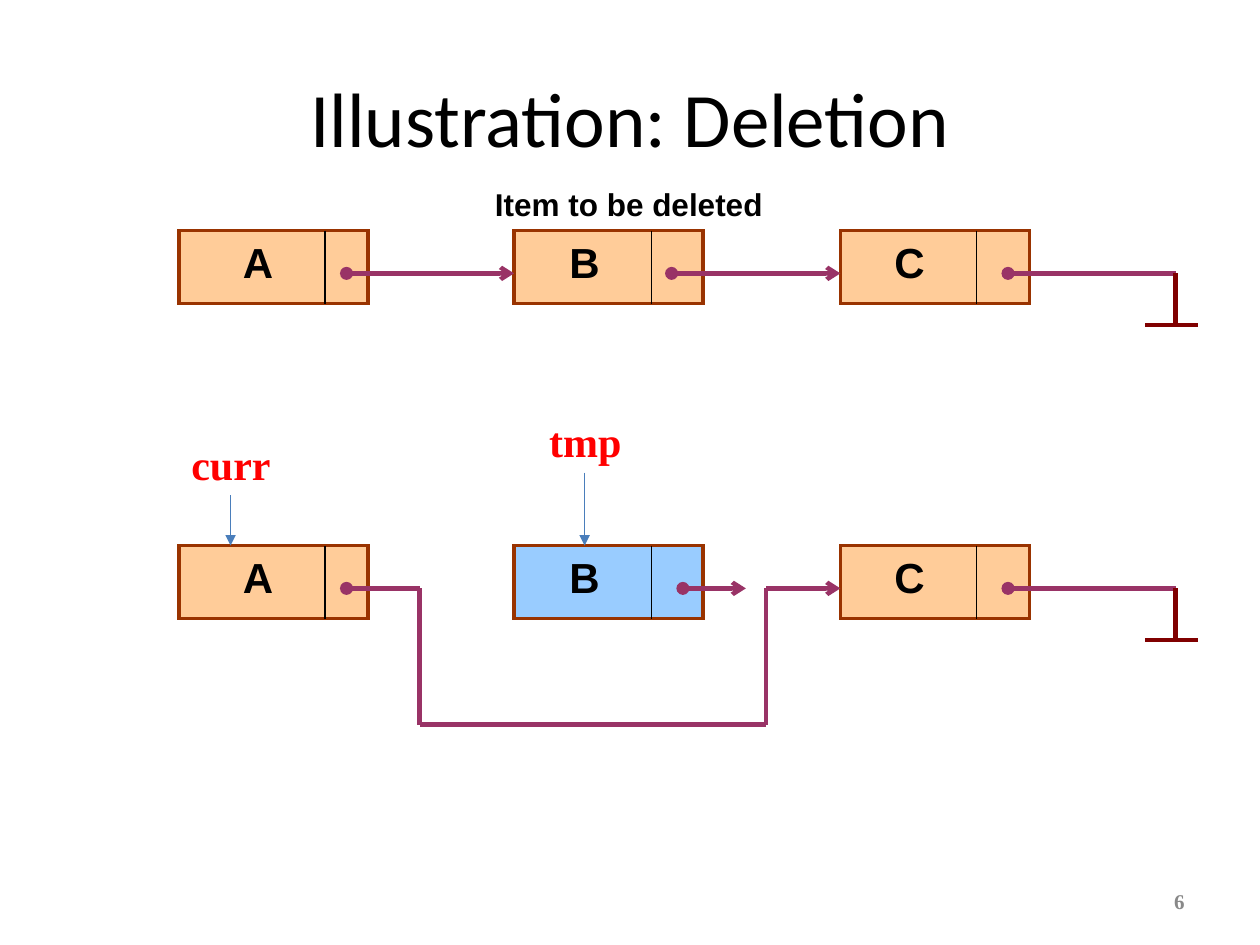
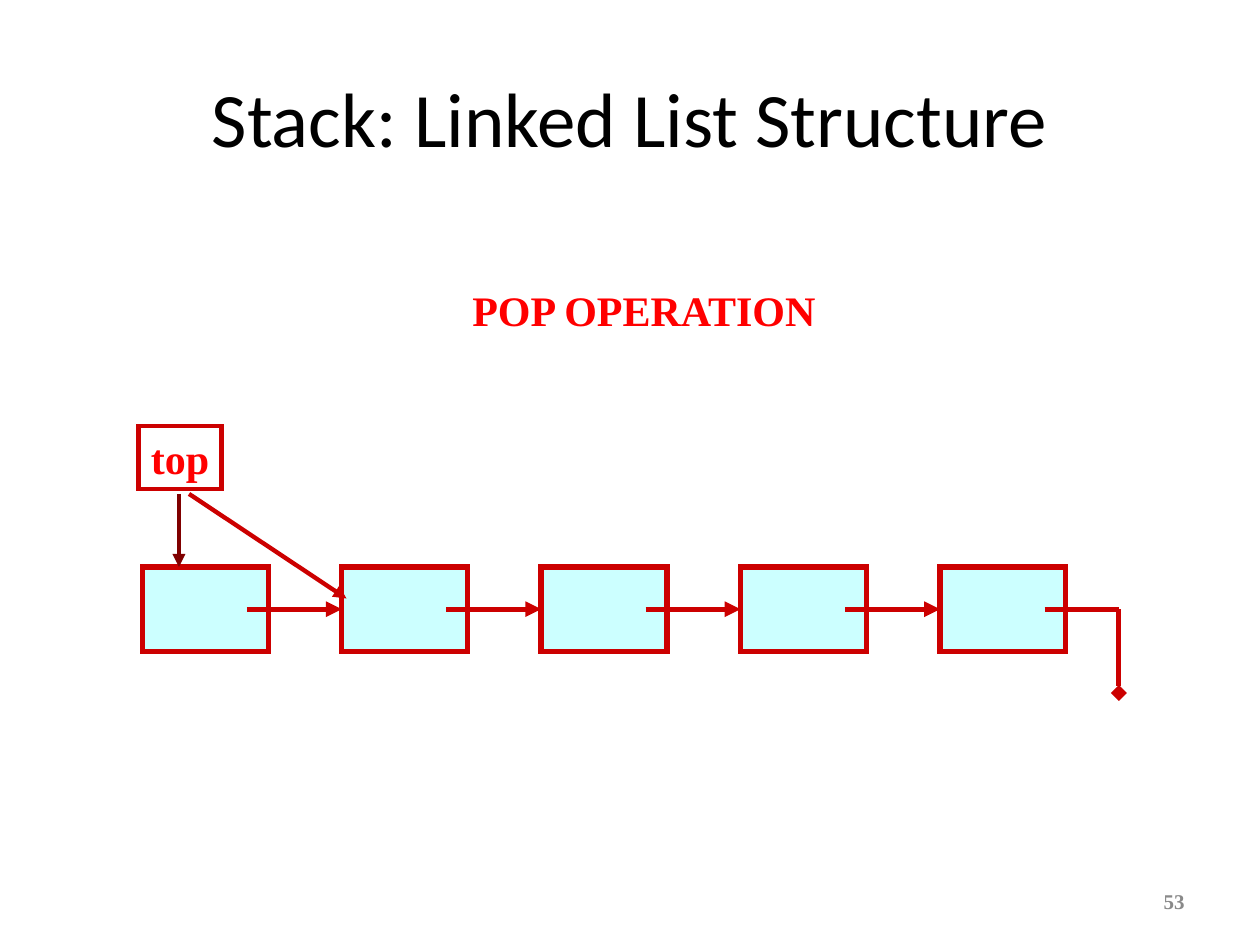
from pptx import Presentation
from pptx.dml.color import RGBColor
from pptx.enum.shapes import MSO_CONNECTOR as CONN, MSO_SHAPE as SHAPE
from pptx.enum.text import MSO_ANCHOR as ANCHOR, PP_ALIGN as ALIGN
from pptx.oxml.ns import qn
from pptx.util import Inches, Pt
from lxml.etree import SubElement

BLACK, GRAY, RED = "000000", "898989", "FF0000"
PEACH, SKY, BROWN = "FFCC99", "99CCFF", "993300"
PLUM, MAROON, BLUE = "993366", "800000", "4A7EBB"
CYAN, CRIMSON = "CCFFFF", "CC0000"
SERIF, SANS = "Times New Roman", "Arial"

NODE_W, NODE_H = 1.5, 0.58
NODES = [("A", 1.42, 0.41), ("B", 4.08, 0.34), ("C", 6.67, 0.33)]
DIVIDERS = [2.58, 5.17, 7.75]
BEFORE_Y, AFTER_Y, LINK_DY = 1.83, 4.33, 0.34
BEFORE_LINKS = [(2.75, 4.08), (5.33, 6.67)]
BYPASS = [(2.75, 4.67), (3.33, 4.67), (3.33, 5.75), (6.08, 5.75), (6.08, 4.67), (6.67, 4.67)]
POINTERS = [("curr", 1.42, 3.43, 0.85, 1.83), ("tmp", 4.26, 3.25, 0.85, 4.64)]

STACK_LEFT, STACK_RIGHT, STACK_Y, STACK_COUNT = 1.13, 7.46, 4.5, 5
CELL_W, CELL_H, LINK_DX = 1, 0.67, 0.83


def rgb(value):
    return RGBColor.from_string(value)


def write(s, text, size, font, color, bold=True, align=ALIGN.LEFT, anchor=ANCHOR.TOP, wrap=True):
    tf = s.text_frame
    tf.word_wrap = wrap
    tf.vertical_anchor = anchor
    p = tf.paragraphs[0]
    p.text = text
    p.alignment = align
    f = p.font
    f.size, f.name, f.bold = Pt(size), font, bold
    f.color.rgb = rgb(color)


def add_text(sl, box, text, size, font, color, **style):
    s = sl.shapes.add_textbox(*map(Inches, box))
    write(s, text, size, font, color, **style)


def add_box(sl, box, fill, line, width):
    s = sl.shapes.add_shape(SHAPE.RECTANGLE, *map(Inches, box))
    s.shadow.inherit = False
    if fill:
        s.fill.solid()
        s.fill.fore_color.rgb = rgb(fill)
    else:
        s.fill.background()
    s.line.color.rgb = rgb(line)
    s.line.width = Pt(width)
    SubElement(s.line._get_or_add_ln(), qn("a:miter"), lim="800000")
    return s


def add_line(sl, start, end, color, width, head=None, tail=None):
    s = sl.shapes.add_connector(CONN.STRAIGHT, *map(Inches, (*start, *end)))
    s.line.color.rgb = rgb(color)
    s.line.width = Pt(width)
    ln = s.line._get_or_add_ln()
    for tag, kind in (("a:headEnd", head), ("a:tailEnd", tail)):
        if kind:
            SubElement(ln, qn(tag), type=kind)
    SubElement(s._element.spPr, qn("a:effectLst"))


def add_slide(prs, title, number):
    sl = prs.slides.add_slide(prs.slide_layouts[5])
    s = sl.shapes.title
    s.left, s.top, s.width, s.height = map(Inches, (0.5, 0.3, 9, 1.25))
    write(s, title, 44, "Calibri", BLACK, bold=False, align=ALIGN.CENTER, anchor=ANCHOR.MIDDLE)
    add_text(sl, (7.17, 6.95, 2.33, 0.4), number, 12, SERIF, GRAY,
             align=ALIGN.RIGHT, anchor=ANCHOR.MIDDLE)
    return sl


def add_list(sl, y, marked=None):
    for (name, x, indent), divider in zip(NODES, DIVIDERS):
        add_box(sl, (x, y, NODE_W, NODE_H), SKY if name == marked else PEACH, BROWN, 2)
        add_line(sl, (divider, y), (divider, y + NODE_H), BLACK, 0.75)
        add_text(sl, (x + indent, y, 0.67, 0.5), name, 24, SANS, BLACK)
    link_y, ground_y = y + LINK_DY, y + 0.75
    add_line(sl, (8, link_y), (9.33, link_y), PLUM, 2.5, head="oval")
    add_line(sl, (9.33, link_y), (9.33, ground_y), MAROON, 2.5)
    add_line(sl, (9.09, ground_y), (9.51, ground_y), MAROON, 2.5)


def deletion_slide(prs):
    sl = add_slide(prs, "Illustration: Deletion", "6")
    add_list(sl, BEFORE_Y)
    y = BEFORE_Y + LINK_DY
    for start, end in BEFORE_LINKS:
        add_line(sl, (start, y), (end, y), PLUM, 2.5, "oval", "arrow")
    add_text(sl, (3.83, 1.42, 2.75, 0.4), "Item to be deleted", 18, SANS, BLACK)

    add_list(sl, AFTER_Y, marked="B")
    y = AFTER_Y + LINK_DY
    add_line(sl, (5.42, y), (5.92, y), PLUM, 2.5, "oval", "arrow")
    last = len(BYPASS) - 2
    for i, (start, end) in enumerate(zip(BYPASS, BYPASS[1:])):
        add_line(sl, start, end, PLUM, 2.5,
                 "oval" if i == 0 else None, "arrow" if i == last else None)
    for name, x, top, width, arrow_x in POINTERS:
        add_text(sl, (x, top, width, 0.5), name, 24, SERIF, RED)
        add_line(sl, (arrow_x, top + 0.5), (arrow_x, AFTER_Y), BLUE, 0.75, tail="triangle")


def stack_slide(prs):
    sl = add_slide(prs, "Stack: Linked List Structure", "53")
    add_text(sl, (3.65, 2.21, 2.97, 0.5), "POP OPERATION", 24, SERIF, RED, wrap=False)
    step = (STACK_RIGHT - STACK_LEFT) / (STACK_COUNT - 1)
    xs = [STACK_LEFT + i * step for i in range(STACK_COUNT)]
    for x in xs:
        add_box(sl, (x, STACK_Y, CELL_W, CELL_H), CYAN, CRIMSON, 3)
    y = STACK_Y + CELL_H / 2
    for x, next_x in zip(xs, xs[1:]):
        add_line(sl, (x + LINK_DX, y), (next_x, y), CRIMSON, 3, tail="triangle")
    add_line(sl, (xs[-1] + LINK_DX, y), (8.88, y), CRIMSON, 3)
    add_line(sl, (8.88, y), (8.88, 5.5), CRIMSON, 3, tail="diamond")

    s = add_box(sl, (1.1, 3.38, 0.66, 0.5), None, CRIMSON, 2.5)
    write(s, "top", 24, SERIF, RED, wrap=False)
    add_line(sl, (1.42, 3.92), (1.42, STACK_Y), MAROON, 2.5, tail="triangle")
    add_line(sl, (1.5, 3.92), (2.75, 4.75), CRIMSON, 2.5, tail="triangle")


def main():
    prs = Presentation()
    prs.slide_width, prs.slide_height = Inches(10), Inches(7.5)
    deletion_slide(prs)
    stack_slide(prs)
    prs.save("out.pptx")


if __name__ == "__main__":
    main()
